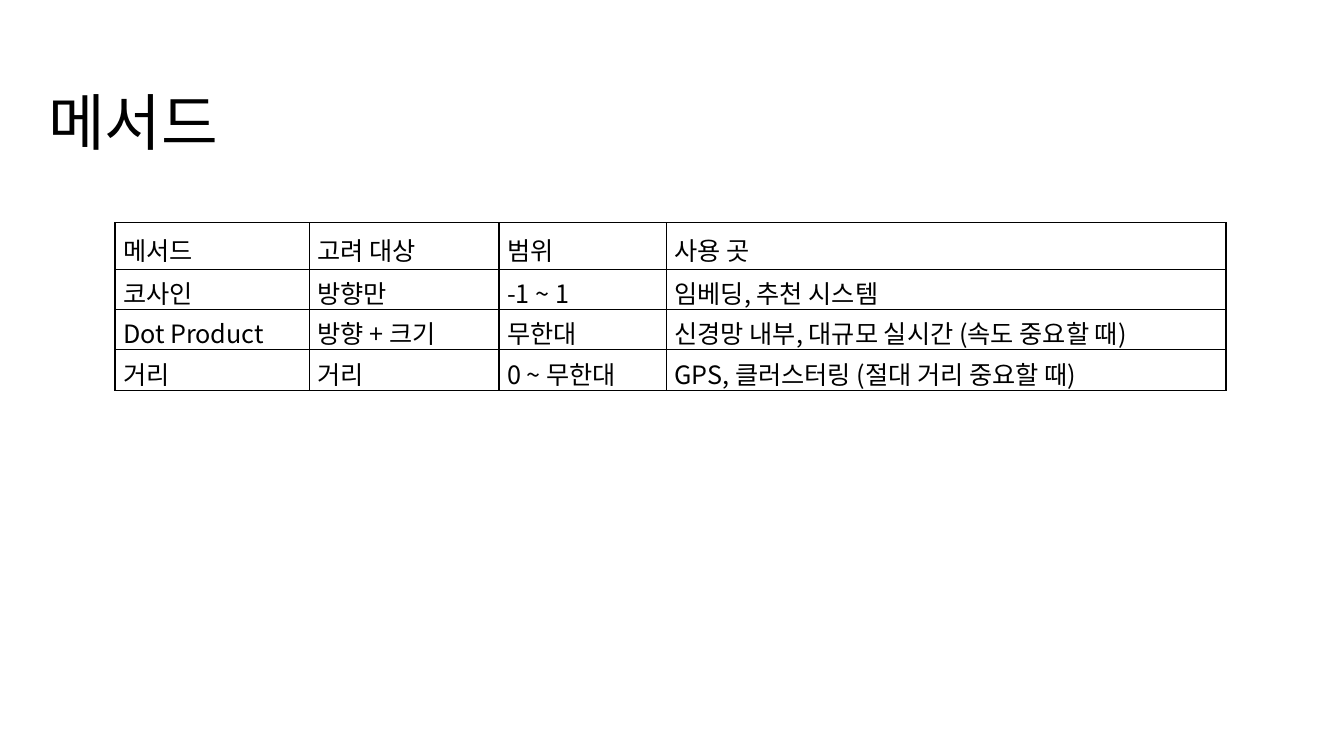
from dataclasses import dataclass

from lxml import etree
from pptx import Presentation
from pptx.dml.color import RGBColor
from pptx.enum.text import MSO_ANCHOR
from pptx.oxml.ns import qn
from pptx.slide import Slide
from pptx.table import _Cell
from pptx.text.text import TextFrame
from pptx.util import Inches, Pt

MIDDLE = MSO_ANCHOR.MIDDLE
TOP = MSO_ANCHOR.TOP
BLACK = RGBColor(0, 0, 0)
FONT = "Noto Sans CJK KR"
BORDER_WIDTH = Pt(1)
BORDER_SIDES = ("a:lnL", "a:lnR", "a:lnT", "a:lnB")

SLIDE_WIDTH, SLIDE_HEIGHT = Inches(13.33), Inches(7.5)
TABLE_LEFT, TABLE_TOP = Inches(1.14), Inches(2.21)
COLUMN_WIDTHS = [Inches(width) for width in (1.93, 1.88, 1.66, 5.55)]
SIDE_MARGIN = Inches(0.08)


@dataclass(frozen=True)
class RowStyle:
    height: int
    anchor: MSO_ANCHOR
    vertical_margin: int


HEADER = RowStyle(Inches(0.46), TOP, Inches(0.08))
BODY = RowStyle(Inches(0.4), MIDDLE, Inches(0.05))


@dataclass(frozen=True)
class MethodRow:
    style: RowStyle
    texts: tuple[str, str, str, str]


METHOD_ROWS = [
    MethodRow(HEADER, ("메서드", "고려 대상", "범위", "사용 곳")),
    MethodRow(BODY, ("코사인", "방향만", "-1 ~ 1", "임베딩, 추천 시스템")),
    MethodRow(BODY, ("Dot Product", "방향 + 크기", "무한대",
                     "신경망 내부, 대규모 실시간 (속도 중요할 때)")),
    MethodRow(BODY, ("거리", "거리", "0 ~ 무한대",
                     "GPS, 클러스터링 (절대 거리 중요할 때)")),
]


def write_text(frame: TextFrame, text: str, size: int) -> None:
    paragraph = frame.paragraphs[0]
    paragraph.text = text
    font = paragraph.font
    font.size, font.name = Pt(size), FONT
    font.color.rgb = BLACK
    # Korean letters take the East Asian typeface
    properties = paragraph._p.pPr.find(qn("a:defRPr"))
    east_asian = etree.Element(qn("a:ea"), typeface=FONT)
    properties.find(qn("a:latin")).addnext(east_asian)


def add_borders(cell: _Cell) -> None:
    properties = cell._tc.get_or_add_tcPr()
    for position, side in enumerate(BORDER_SIDES):
        line = etree.Element(qn(side), w=str(BORDER_WIDTH))
        fill = etree.SubElement(line, qn("a:solidFill"))
        etree.SubElement(fill, qn("a:srgbClr"), val=str(BLACK))
        properties.insert(position, line)


def add_title(slide: Slide, text: str) -> None:
    title = slide.shapes.add_textbox(
        Inches(0.38), Inches(0.62), Inches(11.5), Inches(1.25))
    frame = title.text_frame
    frame.word_wrap = True
    frame.vertical_anchor = MIDDLE
    write_text(frame, text, 44)
    frame.paragraphs[0].line_spacing = 0.9


def add_method_table(slide: Slide, rows: list[MethodRow]) -> None:
    table = slide.shapes.add_table(
        len(rows), len(COLUMN_WIDTHS), TABLE_LEFT, TABLE_TOP,
        sum(COLUMN_WIDTHS), sum(row.style.height for row in rows)).table
    table.first_row = table.horz_banding = False
    for column, width in zip(table.columns, COLUMN_WIDTHS):
        column.width = width
    for table_row, row in zip(table.rows, rows):
        style = row.style
        table_row.height = style.height
        for cell, text in zip(table_row.cells, row.texts):
            cell.fill.background()
            cell.vertical_anchor = style.anchor
            cell.margin_left = cell.margin_right = SIDE_MARGIN
            cell.margin_top = cell.margin_bottom = style.vertical_margin
            write_text(cell.text_frame, text, 18)
            add_borders(cell)


def main() -> None:
    presentation = Presentation()
    presentation.slide_width = SLIDE_WIDTH
    presentation.slide_height = SLIDE_HEIGHT
    slide = presentation.slides.add_slide(presentation.slide_layouts[6])
    add_title(slide, "메서드")
    add_method_table(slide, METHOD_ROWS)
    presentation.save("out.pptx")


if __name__ == "__main__":
    main()
